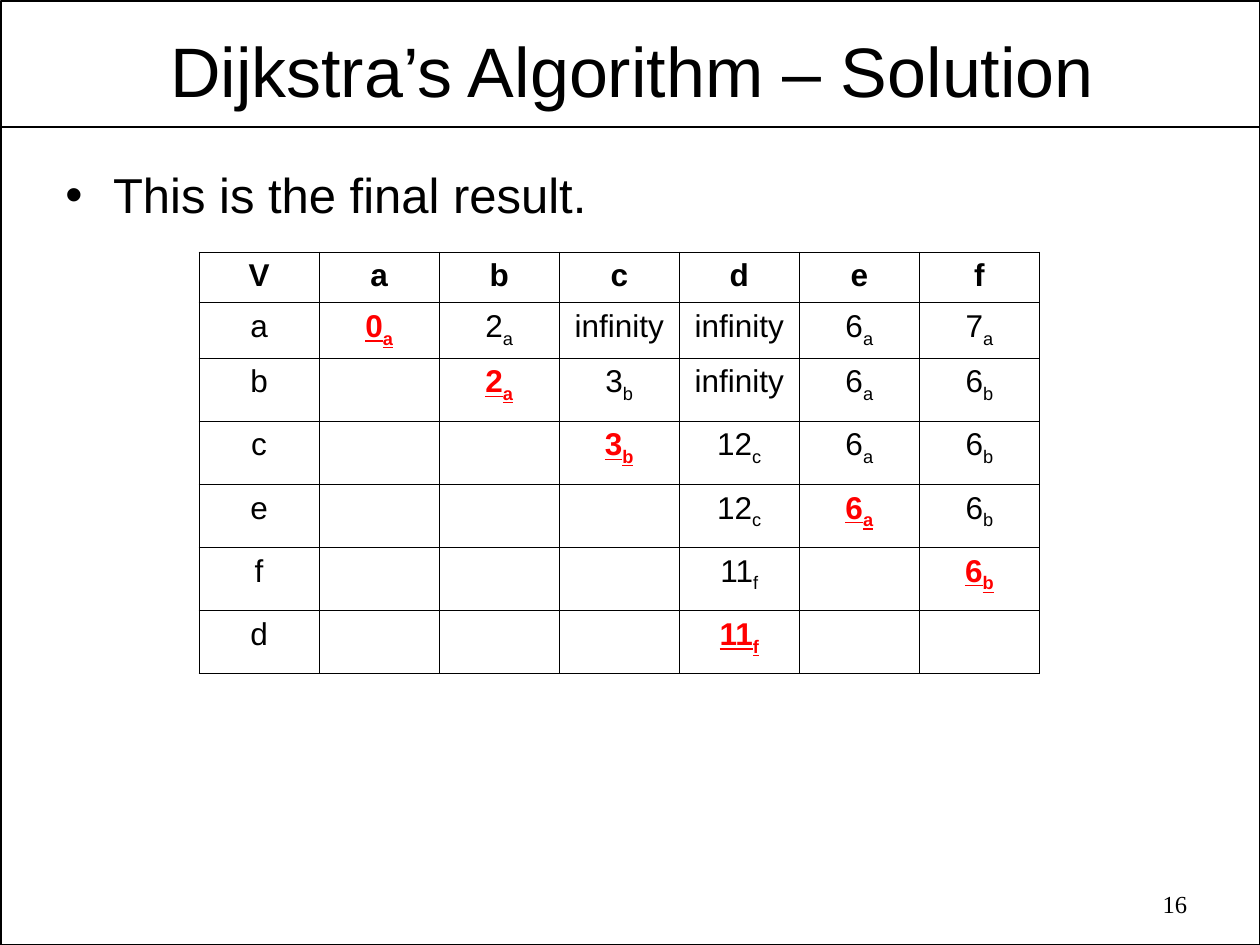
from typing import NamedTuple

from lxml.etree import SubElement
from pptx import Presentation
from pptx.dml.color import RGBColor
from pptx.enum.shapes import MSO_CONNECTOR, MSO_SHAPE
from pptx.enum.text import PP_ALIGN
from pptx.oxml.ns import qn
from pptx.util import Inches, Pt

BLACK = RGBColor(0, 0, 0)
RED = RGBColor(255, 0, 0)
SANS = "Arial"
SERIF = "Times New Roman"


class Box(NamedTuple):
    left: float
    top: float
    width: float
    height: float


class Step(NamedTuple):
    vertex: str
    costs: dict[str, str]


HEADS = "abcdef"
STEPS = [
    Step("a", dict(a="0a", b="2a", c="infinity", d="infinity", e="6a", f="7a")),
    Step("b", dict(b="2a", c="3b", d="infinity", e="6a", f="6b")),
    Step("c", dict(c="3b", d="12c", e="6a", f="6b")),
    Step("e", dict(d="12c", e="6a", f="6b")),
    Step("f", dict(d="11f", f="6b")),
    Step("d", dict(d="11f")),
]


def write(par, text: str, *, size=18, font=SANS, color=BLACK, bold=False,
          under=False, sub=False, align=PP_ALIGN.CENTER) -> None:
    par.alignment = align
    run = par.add_run()
    run.text = text
    run.font.size = Pt(size)
    run.font.name = font
    run.font.color.rgb = color
    run.font.bold = bold
    run.font.underline = under
    if sub:
        run.font._element.set("baseline", "-25000")


def add_text(slide, box: Box, text: str, inset=(0.1, 0.05), **style):
    """Add a text box and return its paragraph."""
    frame = slide.shapes.add_textbox(*map(Inches, box)).text_frame
    frame.word_wrap = True
    frame.margin_left = frame.margin_right = Inches(inset[0])
    frame.margin_top = frame.margin_bottom = Inches(inset[1])
    par = frame.paragraphs[0]
    write(par, text, **style)
    return par


def add_bullet(par, indent: float) -> None:
    props = par._p.get_or_add_pPr()
    props.set("marL", str(Inches(indent)))
    props.set("indent", str(-Inches(indent)))
    SubElement(props, qn("a:buFont"), typeface=SANS)
    SubElement(props, qn("a:buChar"), char="•")


def add_frame(slide) -> None:
    """Draw the page outline and the rule below the title."""
    page = slide.shapes.add_shape(
        MSO_SHAPE.RECTANGLE, *map(Inches, Box(0.01, 0.01, 9.99, 7.49)))
    page.shadow.inherit = False
    page.fill.background()
    rule = slide.shapes.add_connector(
        MSO_CONNECTOR.STRAIGHT, *map(Inches, (0.01, 1.01, 9.99, 1.01)))
    SubElement(rule._element.spPr, qn("a:effectLst"))
    for shape in (page, rule):
        shape.line.color.rgb = BLACK
        shape.line.width = Pt(1)


def style_cell(cell) -> None:
    """Give a cell thin black borders and no fill."""
    props = cell._tc.get_or_add_tcPr()
    for side in ("lnL", "lnR", "lnT", "lnB"):
        line = SubElement(props, qn(f"a:{side}"), w=str(Pt(0.45)))
        fill = SubElement(line, qn("a:solidFill"))
        SubElement(fill, qn("a:srgbClr"), val=str(BLACK))
    cell.fill.background()


def write_cost(par, cost: str, final: bool) -> None:
    """Write a cost with its last vertex as a subscript."""
    style = dict(color=RED, bold=True, under=True) if final else {}
    if cost[:1].isdigit():
        write(par, cost[:-1], **style)
        write(par, cost[-1], sub=True, **style)
    elif cost:
        write(par, cost)
    else:
        end = SubElement(par._p, qn("a:endParaRPr"), sz="2400")
        SubElement(end, qn("a:latin"), typeface=SERIF)


def add_costs(slide, box: Box) -> None:
    table = slide.shapes.add_table(
        len(STEPS) + 1, len(HEADS) + 1, *map(Inches, box)).table
    table.first_row = table.horz_banding = False
    for col in table.columns:
        col.width = Inches(box.width / len(table.columns))
    for num, row in enumerate(table.rows):
        row.height = Inches(0.44 if num else 0.4)
    for cell in table.iter_cells():
        style_cell(cell)

    for col, head in enumerate("V" + HEADS):
        write(table.cell(0, col).text_frame.paragraphs[0], head, bold=True)
    for row, step in enumerate(STEPS, 1):
        write(table.cell(row, 0).text_frame.paragraphs[0], step.vertex)
        for col, head in enumerate(HEADS, 1):
            par = table.cell(row, col).text_frame.paragraphs[0]
            write_cost(par, step.costs.get(head, ""), head == step.vertex)


def main() -> None:
    deck = Presentation()
    deck.slide_width, deck.slide_height = Inches(10), Inches(7.5)
    slide = deck.slides.add_slide(deck.slide_layouts[6])
    add_frame(slide)
    add_text(slide, Box(0.53, 0.19, 8.97, 0.72),
             "Dijkstra’s Algorithm – Solution", inset=(0.07, 0.03), size=40)
    point = add_text(slide, Box(0.42, 1.26, 9.17, 0.66),
                     "This is the final result.", size=28, align=PP_ALIGN.LEFT)
    point.space_before = Pt(7)
    add_bullet(point, 0.38)
    add_text(slide, Box(7.18, 7.01, 2.34, 0.36), "16",
             size=14, font=SERIF, align=PP_ALIGN.RIGHT)
    add_costs(slide, Box(1.58, 2, 6.67, 3.04))
    deck.save("out.pptx")


if __name__ == "__main__":
    main()
